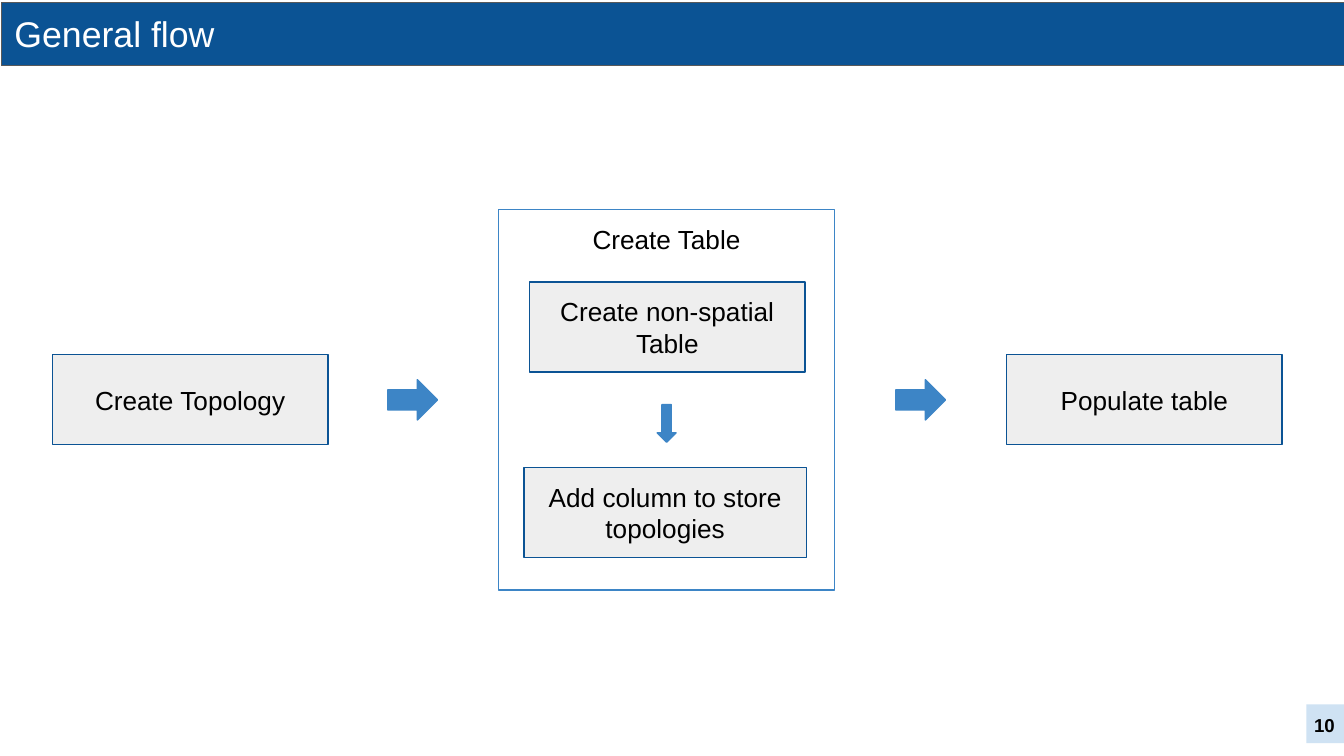
from dataclasses import dataclass
from typing import Optional

from pptx import Presentation
from pptx.dml.color import RGBColor
from pptx.enum.shapes import MSO_SHAPE
from pptx.enum.text import MSO_ANCHOR, PP_ALIGN
from pptx.shapes.autoshape import Shape
from pptx.slide import Slide
from pptx.util import Inches, Pt


@dataclass(frozen=True)
class Theme:
    font: str = "Arial"
    navy: str = "0B5394"
    blue: str = "3D85C6"
    pale_blue: str = "CFE2F3"
    grey: str = "EEEEEE"
    dark_grey: str = "595959"
    black: str = "000000"
    white: str = "FFFFFF"
    title_size: float = 19.1
    step_size: float = 14
    number_size: float = 10
    line_width: float = 0.75
    inset: float = 0.1


@dataclass(frozen=True)
class Area:
    left: float
    top: float
    width: float
    height: float


@dataclass(frozen=True)
class Step:
    label: str
    area: Area


@dataclass(frozen=True)
class FlowArrow:
    area: Area
    rotation: float


THEME = Theme()
SLIDE_WIDTH = 10
SLIDE_HEIGHT = SLIDE_WIDTH * 9 / 16
STEP_HEIGHT = 0.67
MAIN_ROW_TOP = 2.64

STEPS = [
    Step("Create Topology", Area(0.39, MAIN_ROW_TOP, 2.05, STEP_HEIGHT)),
    Step("Create non-spatial Table", Area(3.94, 2.1, 2.05, STEP_HEIGHT)),
    Step("Add column to store topologies", Area(3.9, 3.48, 2.1, STEP_HEIGHT)),
    Step("Populate table", Area(7.49, MAIN_ROW_TOP, 2.05, STEP_HEIGHT)),
]
ARROWS = [
    FlowArrow(Area(2.92, 2.79, 0.3, 0.37), 90),
    FlowArrow(Area(4.89, 3.01, 0.14, 0.28), 180),
    FlowArrow(Area(6.7, 2.79, 0.3, 0.37), 90),
]


def bounds(area: Area) -> tuple:
    return (Inches(area.left), Inches(area.top),
            Inches(area.width), Inches(area.height))


def add_block(slide: Slide, area: Area, fill: Optional[str] = None,
              line: Optional[str] = None,
              preset: MSO_SHAPE = MSO_SHAPE.RECTANGLE) -> Shape:
    """Add a flat preset shape; a missing colour means no fill or no line."""
    block = slide.shapes.add_shape(preset, *bounds(area))
    block.shadow.inherit = False
    if fill:
        block.fill.solid()
        block.fill.fore_color.rgb = RGBColor.from_string(fill)
    else:
        block.fill.background()
    if line:
        block.line.color.rgb = RGBColor.from_string(line)
        block.line.width = Pt(THEME.line_width)
    else:
        block.line.fill.background()
    return block


def write(shape: Shape, text: str, size: float, color: str = THEME.black,
          align: PP_ALIGN = PP_ALIGN.CENTER,
          anchor: MSO_ANCHOR = MSO_ANCHOR.MIDDLE, bold: bool = False) -> None:
    frame = shape.text_frame
    frame.text = text
    frame.word_wrap = True
    frame.vertical_anchor = anchor
    frame.margin_left = frame.margin_right = Inches(THEME.inset)
    frame.margin_top = frame.margin_bottom = Inches(THEME.inset)
    paragraph = frame.paragraphs[0]
    paragraph.alignment = align
    font = paragraph.runs[0].font
    font.name = THEME.font
    font.size = Pt(size)
    font.bold = bold
    font.color.rgb = RGBColor.from_string(color)


def add_flow(slide: Slide) -> None:
    table_group = add_block(slide, Area(3.71, 1.56, 2.5, 2.83), line=THEME.blue)
    write(table_group, "Create Table", THEME.step_size, anchor=MSO_ANCHOR.TOP)
    for step in STEPS:
        box = add_block(slide, step.area, THEME.grey, THEME.navy)
        write(box, step.label, THEME.step_size)
    for arrow in ARROWS:
        pointer = add_block(slide, arrow.area, THEME.blue, THEME.blue,
                            MSO_SHAPE.UP_ARROW)
        pointer.rotation = arrow.rotation


def add_header(slide: Slide) -> None:
    add_block(slide, Area(0.01, 0.02, SLIDE_WIDTH, 0.47),
              THEME.navy, THEME.dark_grey)
    title = slide.shapes.add_textbox(
        *bounds(Area(0.01, -0.01, SLIDE_WIDTH, 0.33)))
    write(title, "General flow", THEME.title_size, THEME.white,
          PP_ALIGN.LEFT, MSO_ANCHOR.TOP)


def add_page_number(slide: Slide) -> None:
    add_block(slide, Area(9.72, 5.24, 0.28, 0.29), THEME.pale_blue)
    number = slide.shapes.add_textbox(*bounds(Area(9.43, 5.18, 0.6, 0.43)))
    write(number, "10", THEME.number_size, align=PP_ALIGN.RIGHT, bold=True)


def main() -> None:
    presentation = Presentation()
    presentation.slide_width = Inches(SLIDE_WIDTH)
    presentation.slide_height = Inches(SLIDE_HEIGHT)
    slide = presentation.slides.add_slide(presentation.slide_layouts[6])
    add_flow(slide)
    add_header(slide)
    add_page_number(slide)
    presentation.save("out.pptx")


if __name__ == "__main__":
    main()
